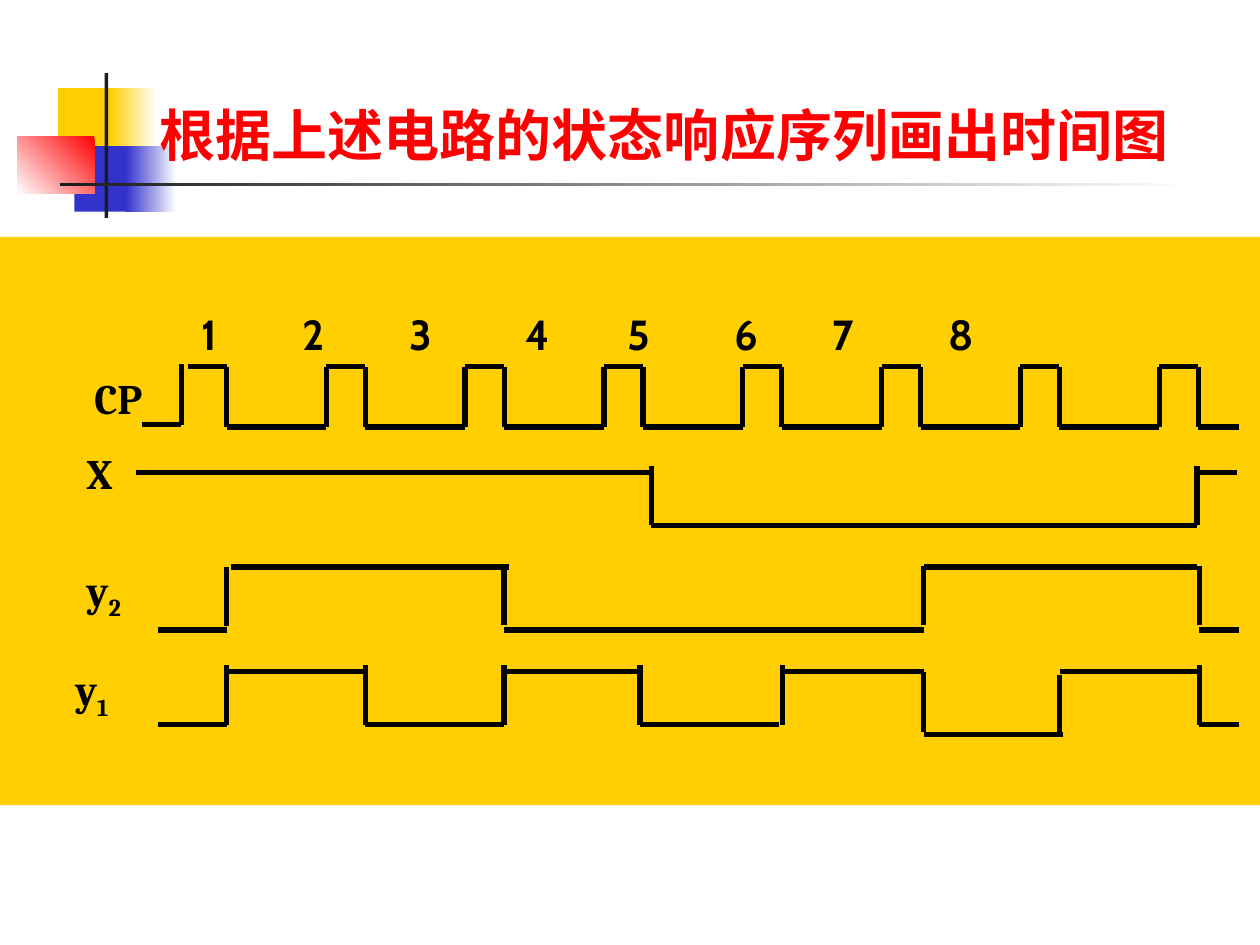
from dataclasses import dataclass
from itertools import pairwise

from lxml import etree
from pptx import Presentation
from pptx.dml.color import RGBColor
from pptx.enum.shapes import MSO_CONNECTOR, MSO_SHAPE
from pptx.oxml.ns import qn
from pptx.util import Inches, Pt

RECTANGLE = MSO_SHAPE.RECTANGLE
STRAIGHT = MSO_CONNECTOR.STRAIGHT

YELLOW, BLUE, RED = "FFCF01", "3333CC", "FF0000"
BLACK, DARK, WHITE = "000000", "1C1C1C", "FFFFFF"

Point = tuple[float, float]


@dataclass
class Block:
    left: float
    top: float
    width: float
    height: float
    color: str
    end_color: str | None = None
    angle: int = 180


@dataclass
class Label:
    left: float
    top: float
    width: float
    height: float
    text: str
    subscript: str = ""
    font: str = "Cambria"
    size: int = 24
    color: str = BLACK
    wrap: bool = False
    tabs: tuple[float, ...] = ()


BLOCKS = [
    Block(0.46, 0.7, 0.48, 0.52, YELLOW),
    Block(0.88, 0.7, 0.36, 0.52, WHITE, YELLOW),
    Block(0.59, 1.16, 0.46, 0.52, BLUE),
    Block(1, 1.16, 0.4, 0.52, WHITE, BLUE),
    Block(0.14, 1.08, 0.61, 0.46, RED, WHITE, 225),
    Block(0.83, 0.58, 0.03, 1.15, DARK),
    Block(0.48, 1.45, 9, 0.03, WHITE, DARK),
    Block(0, 1.88, 10, 4.51, YELLOW),
]

LABELS = [
    Label(1.17, 0.75, 8.25, 1, "根据上述电路的状态响应序列画出时间图",
          font="Times New Roman", size=32, color=RED, wrap=True),
    Label(0.65, 2.91, 0.63, 0.5, "CP"),
    Label(0.59, 3.5, 0.44, 0.5, "X"),
    Label(0.59, 4.43, 0.5, 0.56, "y", "2"),
    Label(0.5, 5.22, 0.5, 0.56, "y", "1"),
    Label(1.5, 2.4, 8.08, 0.5, "\t".join("12345678"), font="Cabin", wrap=True,
          tabs=(0.8, 1.65, 2.57, 3.38, 4.23, 5.01, 5.93)),
]

CLOCK_HIGH, CLOCK_LOW = 2.91, 3.39
FIRST_RISE, LAST_RISE, PULSE_WIDTH, PULSES = 2.59, 9.2, 0.31, 7

X_TRACES = [
    [(1.08, 3.75), (5.17, 3.75)],
    [(5.17, 3.7), (5.17, 4.17), (9.5, 4.17), (9.5, 3.7)],
    [(9.5, 3.75), (9.82, 3.75)],
]
Y2_TRACES = [
    [(1.25, 5), (1.8, 5)],
    [(1.8, 4.97), (1.8, 4.5)],
    [(1.83, 4.5), (4.04, 4.5)],
    [(4, 4.49), (4, 4.96)],
    [(4, 5), (7.33, 5)],
    [(7.33, 4.96), (7.33, 4.49)],
    [(7.33, 4.5), (9.5, 4.5)],
    [(9.52, 4.49), (9.52, 4.96)],
    [(9.52, 5), (9.83, 5)],
]
Y1_TRACES = [
    [(1.25, 5.75), (1.8, 5.75), (1.8, 5.28)],
    [(1.8, 5.33), (2.9, 5.33)],
    [(2.9, 5.28), (2.9, 5.75), (4, 5.75), (4, 5.28)],
    [(4, 5.33), (5.1, 5.33)],
    [(5.08, 5.28), (5.08, 5.75), (6.18, 5.75)],
    [(6.21, 5.75), (6.21, 5.28)],
    [(6.23, 5.33), (7.33, 5.33), (7.33, 5.81)],
    [(7.33, 5.83), (8.44, 5.83)],
    [(8.41, 5.83), (8.41, 5.36)],
    [(8.41, 5.33), (9.52, 5.33)],
    [(9.52, 5.28), (9.52, 5.75), (9.83, 5.75)],
]


def rgb(value: str) -> RGBColor:
    return RGBColor.from_string(value)


def clock_traces() -> list[list[Point]]:
    """Return the lead-in of the clock and its train of equal pulses."""
    lead_in = [(1.13, 3.37), (1.44, 3.37), (1.44, 2.89)]
    train = [(1.49, CLOCK_HIGH), (1.8, CLOCK_HIGH), (1.8, CLOCK_LOW)]
    period = (LAST_RISE - FIRST_RISE) / (PULSES - 1)
    for index in range(PULSES):
        rise = FIRST_RISE + index * period
        fall = rise + PULSE_WIDTH
        train += [(rise, CLOCK_LOW), (rise, CLOCK_HIGH),
                  (fall, CLOCK_HIGH), (fall, CLOCK_LOW)]
    train.append((9.83, CLOCK_LOW))
    return [lead_in, train]


def add_block(slide, block: Block) -> None:
    shape = slide.shapes.add_shape(
        RECTANGLE, Inches(block.left), Inches(block.top),
        Inches(block.width), Inches(block.height))
    shape.shadow.inherit = False
    shape.line.fill.background()
    if block.end_color is None:
        shape.fill.solid()
        shape.fill.fore_color.rgb = rgb(block.color)
        return
    shape.fill.gradient()
    shape.fill.gradient_angle = block.angle
    for stop, color in zip(shape.fill.gradient_stops, (block.color, block.end_color)):
        stop.color.rgb = rgb(color)


def add_trace(slide, points: list[Point]) -> None:
    """Join consecutive points with straight lines."""
    for (x1, y1), (x2, y2) in pairwise(points):
        connector = slide.shapes.add_connector(
            STRAIGHT, Inches(x1), Inches(y1), Inches(x2), Inches(y2))
        connector.line.color.rgb = rgb(BLACK)
        connector.line.width = Pt(3)
        etree.SubElement(connector._element.spPr, qn("a:effectLst"))


def add_label(slide, label: Label) -> None:
    text_box = slide.shapes.add_textbox(
        Inches(label.left), Inches(label.top), Inches(label.width), Inches(label.height))
    text_frame = text_box.text_frame
    text_frame.word_wrap = label.wrap
    text_frame.text = label.text
    paragraph = text_frame.paragraphs[0]
    if label.tabs:
        tab_list = etree.SubElement(paragraph._p.get_or_add_pPr(), qn("a:tabLst"))
        for position in label.tabs:
            etree.SubElement(tab_list, qn("a:tab"), pos=str(Inches(position)), algn="l")
    if label.subscript:
        run = paragraph.add_run()
        run.text = label.subscript
        run._r.get_or_add_rPr().set("baseline", "-25000")
    for run in paragraph.runs:
        run.font.name = label.font
        run.font.size = Pt(label.size)
        run.font.bold = True
        run.font.color.rgb = rgb(label.color)


def main() -> None:
    presentation = Presentation()
    presentation.slide_width = Inches(10)
    presentation.slide_height = Inches(7.5)
    slide = presentation.slides.add_slide(presentation.slide_layouts[6])
    for block in BLOCKS:
        add_block(slide, block)
    for points in clock_traces() + X_TRACES + Y2_TRACES + Y1_TRACES:
        add_trace(slide, points)
    for label in LABELS:
        add_label(slide, label)
    presentation.save("out.pptx")


if __name__ == "__main__":
    main()
